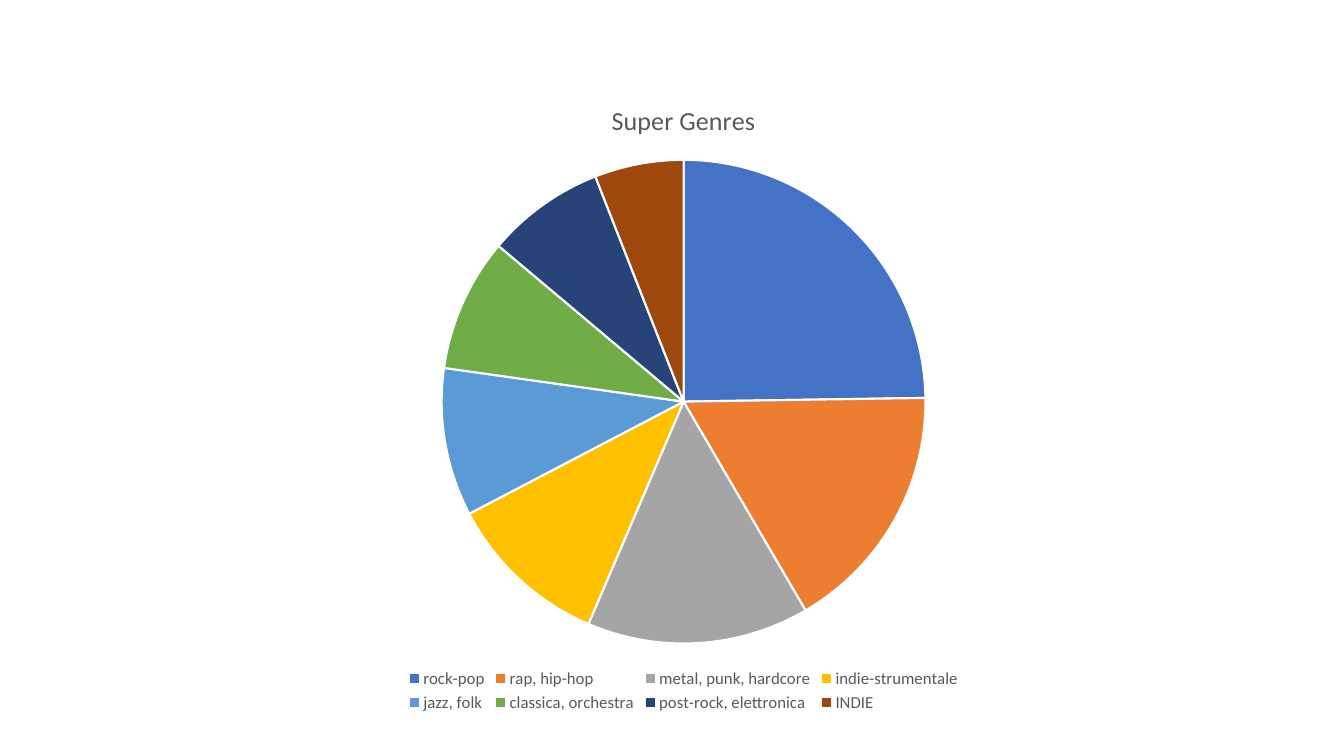
from pptx import Presentation
from pptx.chart.data import CategoryChartData
from pptx.dml.color import RGBColor
from pptx.enum.chart import XL_CHART_TYPE, XL_LEGEND_POSITION
from pptx.util import Inches, Pt

PIE = XL_CHART_TYPE.PIE
BOTTOM = XL_LEGEND_POSITION.BOTTOM
BLANK_LAYOUT = 6

GREY_TEXT = RGBColor(0x59, 0x59, 0x59)
WHITE = RGBColor(0xFF, 0xFF, 0xFF)
BLUE = RGBColor(0x44, 0x72, 0xC4)
ORANGE = RGBColor(0xED, 0x7D, 0x31)
GREY = RGBColor(0xA5, 0xA5, 0xA5)
YELLOW = RGBColor(0xFF, 0xC0, 0x00)
LIGHT_BLUE = RGBColor(0x5B, 0x9B, 0xD5)
GREEN = RGBColor(0x70, 0xAD, 0x47)
NAVY = RGBColor(0x26, 0x44, 0x78)
BROWN = RGBColor(0x9E, 0x48, 0x0E)

TITLE_FORMAT = {"name": "Calibri", "size": Pt(18.6), "bold": False}
LEGEND_FORMAT = {"name": "Calibri", "size": Pt(12), "bold": False}

GENRES = [
    ("rock-pop", 25, BLUE),
    ("rap, hip-hop", 17, ORANGE),
    ("metal, punk, hardcore", 15, GREY),
    ("indie-strumentale", 11, YELLOW),
    ("jazz, folk", 10, LIGHT_BLUE),
    ("classica, orchestra", 9, GREEN),
    ("post-rock, elettronica", 8, NAVY),
    ("INDIE", 6, BROWN),
]


def format_font(font, values):
    for attribute, value in values.items():
        setattr(font, attribute, value)
    font.color.rgb = GREY_TEXT


def add_genre_pie(slide, left, top, width, height):
    chart_data = CategoryChartData()
    chart_data.categories = [name for name, value, color in GENRES]
    chart_data.add_series("Series 1", [value for name, value, color in GENRES])
    chart = slide.shapes.add_chart(
        PIE, Inches(left), Inches(top), Inches(width), Inches(height), chart_data
    ).chart

    chart.font.name = "Calibri"
    chart.font.size = Pt(10)
    chart.has_title = True
    title_frame = chart.chart_title.text_frame
    title_frame.text = "Super Genres"
    format_font(title_frame.paragraphs[0].runs[0].font, TITLE_FORMAT)
    chart.chart_title.include_in_layout = False

    chart.has_legend = True
    chart.legend.position = BOTTOM
    chart.legend.include_in_layout = False
    format_font(chart.legend.font, LEGEND_FORMAT)

    plot = chart.plots[0]
    plot.vary_by_categories = True
    for index, (name, value, color) in enumerate(GENRES):
        slice_format = plot.series[0].points[index].format
        slice_format.fill.solid()
        slice_format.fill.fore_color.rgb = color
        slice_format.line.color.rgb = WHITE
        slice_format.line.width = Pt(1.5)


def main():
    presentation = Presentation()
    presentation.slide_width = Inches(13.33)
    presentation.slide_height = Inches(7.5)
    slide = presentation.slides.add_slide(presentation.slide_layouts[BLANK_LAYOUT])
    add_genre_pie(slide, 2.22, 0.79, 9.12, 6.32)
    presentation.save("out.pptx")


if __name__ == "__main__":
    main()
